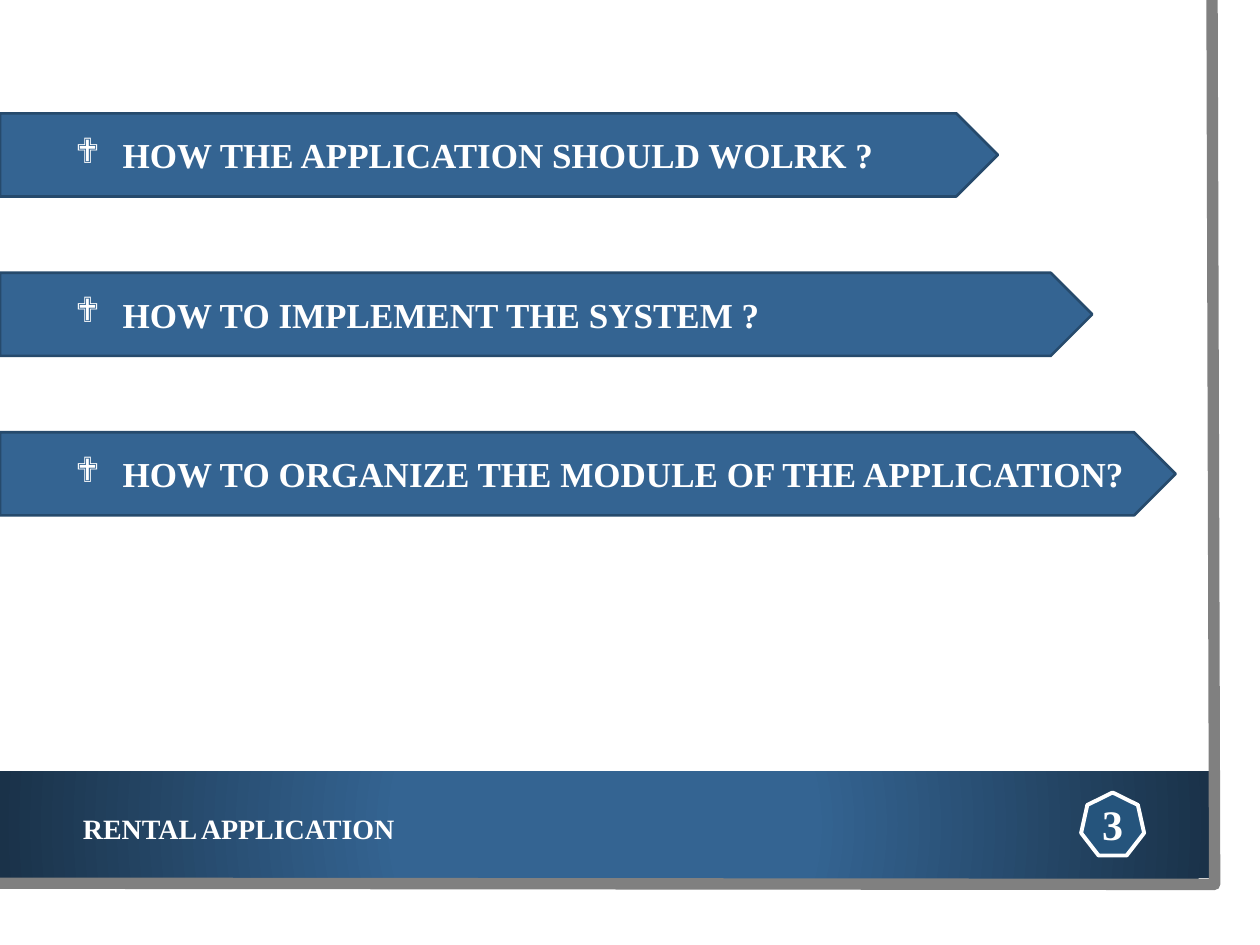
from typing import NamedTuple

from lxml.etree import SubElement
from pptx import Presentation
from pptx.dml.color import RGBColor
from pptx.enum.shapes import MSO_SHAPE
from pptx.enum.text import MSO_ANCHOR, PP_ALIGN
from pptx.oxml import parse_xml
from pptx.oxml.ns import nsdecls, qn
from pptx.util import Pt

FONT = "Times New Roman"
WHITE, BLUE, NAVY, EDGE = "FFFFFF", "346492", "1A3249", "264A6C"
BADGE_BLUE, GREY = "25547C", "808080"

ARROW_TOP, ARROW_STEP, ARROW_HEIGHT = 64.8, 91.1, 47.5


class Question(NamedTuple):
    text: str
    width: float


QUESTIONS = [
    Question("HOW THE APPLICATION SHOULD WOLRK ?", 570.2),
    Question("HOW TO IMPLEMENT THE SYSTEM ?", 624.2),
    Question("HOW TO ORGANIZE THE MODULE OF THE APPLICATION?", 671.8),
]


def color(value: str) -> RGBColor:
    return RGBColor.from_string(value)


def set_line(sp, value: str, width: float) -> None:
    sp.line.color.rgb = color(value)
    sp.line.width = Pt(width)


def add_filled(s, kind: MSO_SHAPE, left: float, top: float, width: float,
               height: float, fill: str):
    """Add a preset shape with a solid fill, no outline and no shadow."""
    sp = s.shapes.add_shape(kind, Pt(left), Pt(top), Pt(width), Pt(height))
    sp.shadow.inherit = False
    sp.fill.solid()
    sp.fill.fore_color.rgb = color(fill)
    sp.line.fill.background()
    return sp


def set_text(sp, text: str, size: float, align: PP_ALIGN = PP_ALIGN.LEFT):
    """Write one bold white paragraph, centred vertically, and return it."""
    tf = sp.text_frame
    tf.text = text
    tf.word_wrap = True
    tf.vertical_anchor = MSO_ANCHOR.MIDDLE
    p = tf.paragraphs[0]
    p.alignment = align
    font = p.runs[0].font
    font.name, font.size, font.bold = FONT, Pt(size), True
    font.color.rgb = color(WHITE)
    return p


def set_bullet(p, char: str, margin: float, hanging: float) -> None:
    p.level = 1
    pPr = p._p.get_or_add_pPr()
    pPr.set("marL", str(Pt(margin)))
    pPr.set("indent", str(-Pt(hanging)))
    SubElement(pPr, qn("a:buFont"), typeface="Wingdings")
    SubElement(pPr, qn("a:buChar"), char=char)


def set_radial_fill(sp, inner: str, outer: str, start: int) -> None:
    """Fade from inner, held up to start percent, to outer at the corners."""
    solid = sp._element.spPr.find(qn("a:solidFill"))
    solid.getparent().replace(solid, parse_xml(
        f'<a:gradFill {nsdecls("a")} rotWithShape="1"><a:gsLst>'
        f'<a:gs pos="{start * 1000}"><a:srgbClr val="{inner}"/></a:gs>'
        f'<a:gs pos="100000"><a:srgbClr val="{outer}"/></a:gs></a:gsLst>'
        '<a:path path="circle"><a:fillToRect l="50000" t="50000" '
        'r="50000" b="50000"/></a:path></a:gradFill>'))


def add_frame(s) -> None:
    """Draw the page, the footer band and the grey edge right and below."""
    add_filled(s, MSO_SHAPE.RECTANGLE, 0, 0, 707.8, 523.4, WHITE)
    band = add_filled(s, MSO_SHAPE.RECTANGLE, 0, 440.6, 691.2, 61.2, BLUE)
    set_radial_fill(band, BLUE, NAVY, 34)

    builder = s.shapes.build_freeform(Pt(692.6), Pt(0))
    builder.add_line_segments(
        [(Pt(694.1), Pt(505.4)), (Pt(-1.4), Pt(504.7))], close=False)
    edge = builder.convert_to_shape()
    edge.shadow.inherit = False
    edge.fill.background()
    set_line(edge, GREY, 6.5)


def add_question(s, question: Question, top: float) -> None:
    sp = add_filled(s, MSO_SHAPE.PENTAGON, 0, top, question.width,
                    ARROW_HEIGHT, BLUE)
    set_line(sp, EDGE, 1.5)
    set_bullet(set_text(sp, question.text, 20), "❖", 63, 27)


def add_page_badge(s, number: str) -> None:
    sp = add_filled(s, MSO_SHAPE.HEPTAGON, 617.8, 452.9, 36, 36, BADGE_BLUE)
    set_line(sp, WHITE, 2.25)
    set_text(sp, number, 24, PP_ALIGN.CENTER)


def add_footer(s, text: str) -> None:
    sp = s.shapes.add_textbox(Pt(40.3), Pt(453.6), Pt(337.7), Pt(39.6))
    set_text(sp, text, 16)


def main() -> None:
    prs = Presentation()
    prs.slide_width, prs.slide_height = Pt(720), Pt(540)
    s = prs.slides.add_slide(prs.slide_layouts[6])
    add_frame(s)
    add_page_badge(s, "3")
    for i, question in enumerate(QUESTIONS):
        add_question(s, question, ARROW_TOP + i * ARROW_STEP)
    add_footer(s, "RENTAL APPLICATION")
    prs.save("out.pptx")


if __name__ == "__main__":
    main()
